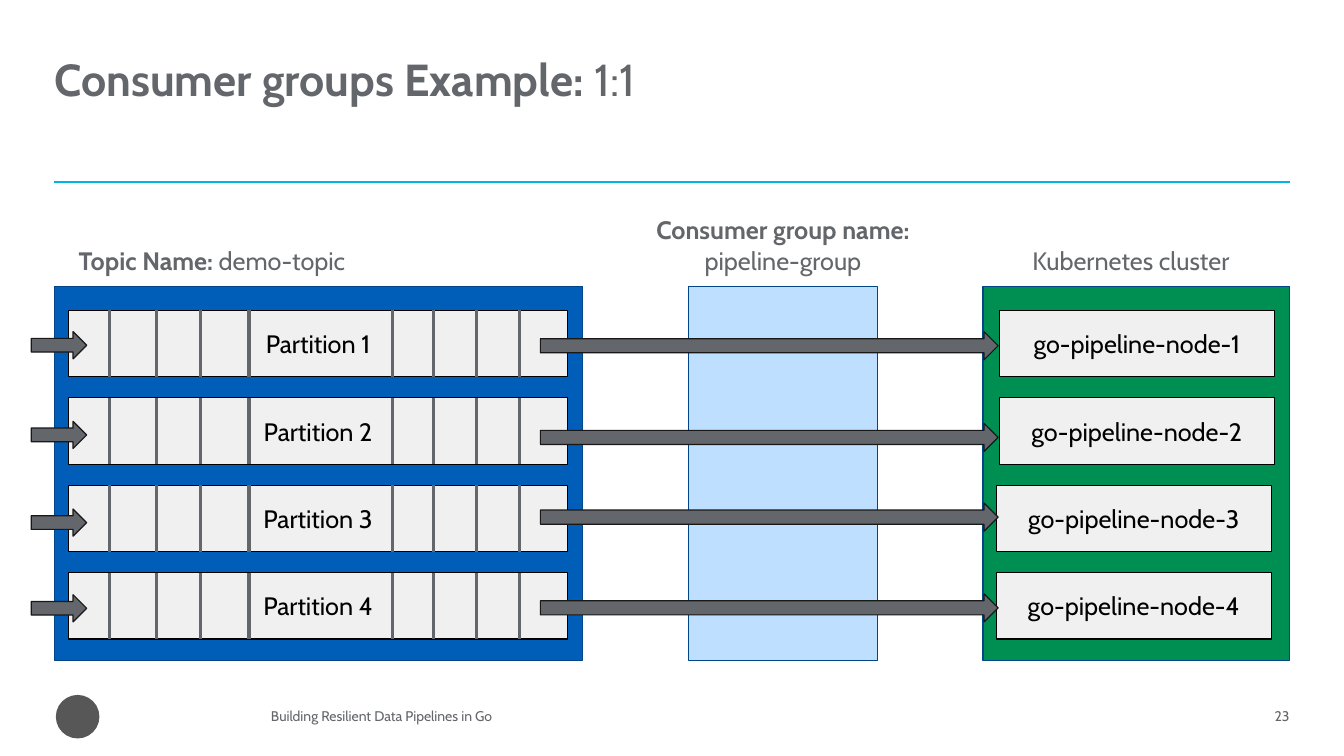
from collections import namedtuple
from dataclasses import dataclass
from lxml import etree
from pptx import Presentation
from pptx.dml.color import RGBColor
from pptx.enum.shapes import MSO_CONNECTOR, MSO_SHAPE
from pptx.enum.text import MSO_ANCHOR, PP_ALIGN
from pptx.oxml.ns import qn
from pptx.util import Inches, Pt

LEFT, MID, RIGHT = PP_ALIGN.LEFT, PP_ALIGN.CENTER, PP_ALIGN.RIGHT
RECT, OVAL, ARROW = MSO_SHAPE.RECTANGLE, MSO_SHAPE.OVAL, MSO_SHAPE.RIGHT_ARROW
STRAIGHT = MSO_CONNECTOR.STRAIGHT
TOP, CENTER = MSO_ANCHOR.TOP, MSO_ANCHOR.MIDDLE

Box = namedtuple("Box", "x y w h")


@dataclass(frozen=True)
class Theme:
    font: str = "Cabin"
    title: int = 32
    body: int = 18
    small: int = 10
    gray: str = "63666A"
    black: str = "000000"
    cell: str = "F0F0F0"
    topic: str = "005EB8"
    group: str = "BEDFFF"
    cluster: str = "008F53"
    border: str = "004688"
    edge: str = "181818"
    rule: str = "00B5E2"
    badge: str = "575757"
    thin: float = 0.85


THEME = Theme()
WIDTH, HEIGHT = 13.33, 7.5
MARGIN, SPAN = 0.54, 12.25
PANEL_Y, PANEL_H = 2.84, 3.71
TOPIC = Box(MARGIN, PANEL_Y, 5.24, PANEL_H)
GROUP = Box(6.83, PANEL_Y, 1.87, PANEL_H)
CLUSTER = Box(9.75, PANEL_Y, 3.04, PANEL_H)

ROWS = 4
ROW_TOP, ROW_STEP, ROW_H = 0.24, 0.867, 0.66
DIVIDERS = (0.41, 0.87, 1.31, 1.79, 3.21, 3.62, 4.05, 4.47)
NODE_INSETS = (0.16, 0.16, 0.13, 0.13)
# Arrow tops, measured from the panel top
IN_TOPS = (0.45, 1.34, 2.21, 3.06)
OUT_TOPS = (0.45, 1.36, 2.15, 3.05)


def color(code):
    return RGBColor.from_string(code)


def inches(box):
    return [Inches(v) for v in box]


def write(frame, lines, size, tint, align=LEFT, spacing=None):
    """Fill a frame; each line is a list of (text, bold) runs."""
    for i, line in enumerate(lines):
        para = frame.paragraphs[0] if i == 0 else frame.add_paragraph()
        para.alignment = align
        if spacing:
            para.line_spacing = spacing
        for words, bold in line:
            run = para.add_run()
            run.text = words
            font = run.font
            font.name, font.size, font.bold = THEME.font, Pt(size), bold
            font.color.rgb = color(tint)


def label(slide, box, lines, size=THEME.body, align=LEFT, spacing=None, wrap=False):
    frame = slide.shapes.add_textbox(*inches(box)).text_frame
    frame.margin_left = frame.margin_right = 0
    frame.margin_top = frame.margin_bottom = 0
    frame.word_wrap = wrap
    frame.vertical_anchor = TOP
    write(frame, lines, size, THEME.gray, align, spacing)


def block(slide, kind, box, fill, edge, words=None):
    shape = slide.shapes.add_shape(kind, *inches(box))
    shape.shadow.inherit = False
    shape.fill.solid()
    shape.fill.fore_color.rgb = color(fill)
    shape.line.color.rgb = color(edge)
    shape.line.width = Pt(THEME.thin)
    if words:
        shape.text_frame.word_wrap = True
        shape.text_frame.vertical_anchor = CENTER
        write(shape.text_frame, [[(words, False)]], THEME.body, THEME.black, MID)


def stroke(slide, start, end, tint, width):
    line = slide.shapes.add_connector(STRAIGHT, *inches(start + end))
    line.line.color.rgb = color(tint)
    line.line.width = Pt(width)
    etree.SubElement(line._element.spPr, qn("a:effectLst"))


def row_y(box, row):
    return box.y + ROW_TOP + row * ROW_STEP


def header(slide, box):
    label(slide, box, [[("Consumer groups Example: ", True), ("1:1", False)]],
          THEME.title, spacing=0.9, wrap=True)
    y = box.y + 1.24
    stroke(slide, (box.x, y), (box.x + box.w, y), THEME.rule, 1.5)


def topic(slide, box):
    block(slide, RECT, box, THEME.topic, THEME.border)
    label(slide, Box(box.x + 0.24, box.y - 0.41, 2.7, 0.3),
          [[("Topic Name:", True), (" demo-topic", False)]])
    x = box.x + 0.14
    for row in range(ROWS):
        y = row_y(box, row)
        block(slide, RECT, Box(x, y, 4.95, ROW_H), THEME.cell, THEME.black,
              f"Partition {row + 1}")
        for dx in DIVIDERS:
            stroke(slide, (x + dx, y), (x + dx, y + ROW_H), THEME.gray, 2.25)


def cluster(slide, box):
    block(slide, RECT, box, THEME.cluster, THEME.border)
    label(slide, Box(box.x + 0.49, box.y - 0.41, 2.01, 0.3),
          [[("Kubernetes cluster", False)]])
    for row, inset in enumerate(NODE_INSETS):
        block(slide, RECT, Box(box.x + inset, row_y(box, row), 2.73, ROW_H),
              THEME.cell, THEME.black, f"go-pipeline-node-{row + 1}")


def group(slide, box):
    block(slide, RECT, box, THEME.group, THEME.border)
    label(slide, Box(box.x - 0.39, box.y - 0.71, 2.65, 0.61),
          [[("Consumer group name:", True)], [("pipeline-group", False)]], align=MID)


def flow(slide, box, tops):
    """Draw one arrow per row; the box gives left, panel top and arrow size."""
    for top in tops:
        block(slide, ARROW, box._replace(y=box.y + top), THEME.gray, THEME.edge)


def footer(slide, box):
    block(slide, OVAL, Box(box.x + 0.02, box.y, box.h, box.h), THEME.badge, THEME.badge)
    y = box.y + 0.13
    notes = (
        (Box(1.39, y, 3.49, 0.2), "Building Resilient Data Pipelines in Go"),
        (Box(box.x + box.w - 0.36, y, 0.36, 0.2), "23"),
    )
    for place, words in notes:
        label(slide, place, [[(words, False)]], THEME.small, RIGHT, 0.99, True)


def main():
    deck = Presentation()
    deck.slide_width, deck.slide_height = Inches(WIDTH), Inches(HEIGHT)
    slide = deck.slides.add_slide(deck.slide_layouts[6])
    header(slide, Box(MARGIN, 0.57, SPAN, 1))
    topic(slide, TOPIC)
    cluster(slide, CLUSTER)
    group(slide, GROUP)
    flow(slide, Box(5.36, PANEL_Y, 4.54, 0.28), OUT_TOPS)
    flow(slide, Box(0.31, PANEL_Y, 0.55, 0.27), IN_TOPS)
    footer(slide, Box(MARGIN, 6.9, SPAN, 0.42))
    deck.save("out.pptx")


if __name__ == "__main__":
    main()
